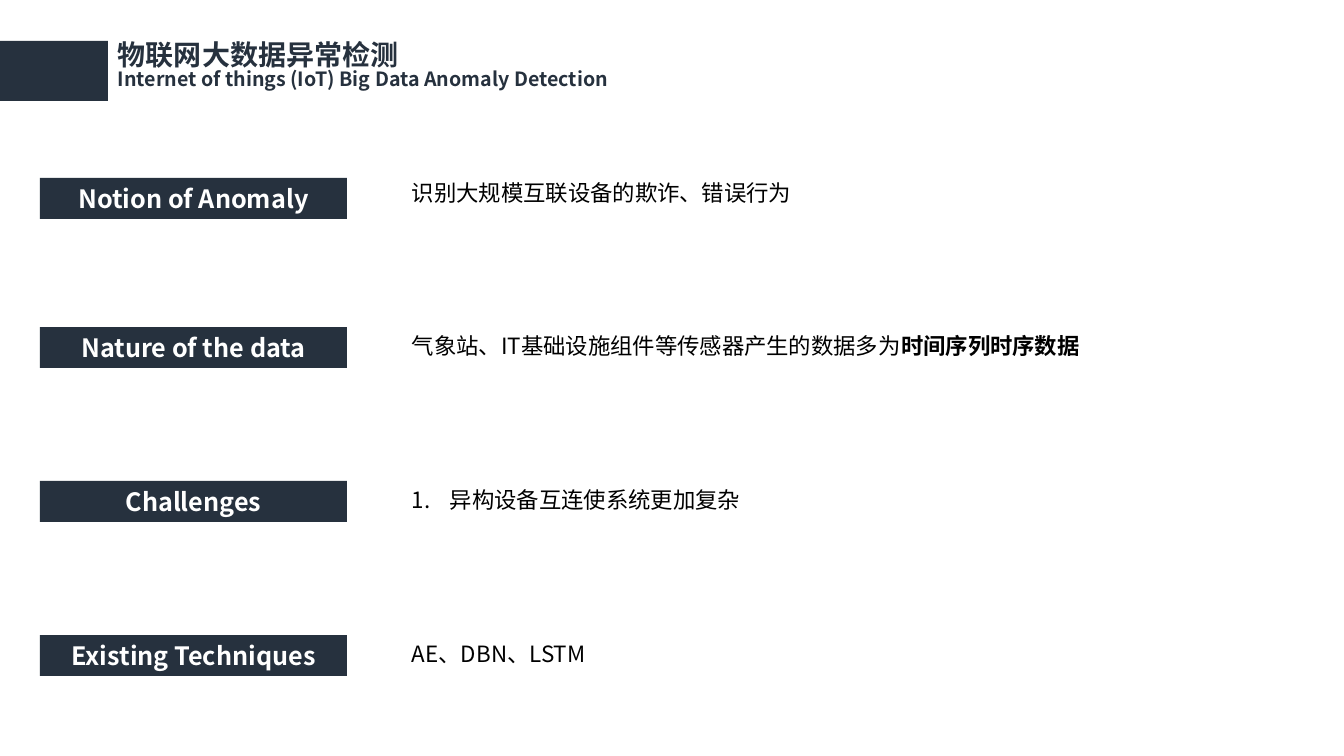
from lxml import etree
from pptx import Presentation
from pptx.dml.color import RGBColor
from pptx.enum.shapes import MSO_SHAPE
from pptx.enum.text import MSO_ANCHOR, PP_ALIGN
from pptx.oxml.ns import qn
from pptx.util import Pt

PX = 914400 / 100.8
FONT = "Noto Sans CJK SC"
NAVY = RGBColor(0x26, 0x31, 0x3E)
WHITE = RGBColor(0xFF, 0xFF, 0xFF)
BLACK = RGBColor(0x00, 0x00, 0x00)
RECTANGLE = MSO_SHAPE.RECTANGLE
MIDDLE = MSO_ANCHOR.MIDDLE
CENTER = PP_ALIGN.CENTER

ROWS = [
    (178, 174, 811, "Notion of Anomaly", [("识别大规模互联设备的欺诈、错误行为", False)], False),
    (327, 327, 852, "Nature of the data",
     [("气象站、IT基础设施组件等传感器产生的数据多为", False), ("时间序列时序数据", True)], False),
    (481, 481, 831, "Challenges", [("异构设备互连使系统更加复杂", False)], True),
    (635, 635, 811, "Existing Techniques", [("AE、DBN、LSTM", False)], False),
]


def px(*lengths):
    return [round(length * PX) for length in lengths]


def add_run(paragraph, text, size, color, bold):
    run = paragraph.add_run()
    run.text = text
    run.font.size = Pt(size)
    run.font.bold = bold
    run.font.color.rgb = color
    run.font.name = FONT
    east_asian = etree.SubElement(run.font._element, qn("a:ea"))
    east_asian.set("typeface", FONT)


def add_bar(slide, box):
    bar = slide.shapes.add_shape(RECTANGLE, *px(*box))
    bar.shadow.inherit = False
    bar.fill.solid()
    bar.fill.fore_color.rgb = NAVY
    bar.line.fill.background()
    return bar


def add_text_frame(slide, box):
    text_frame = slide.shapes.add_textbox(*px(*box)).text_frame
    text_frame.word_wrap = True
    return text_frame


def number_paragraph(paragraph):
    properties = paragraph._p.get_or_add_pPr()
    indent = px(38)[0]
    properties.set("marL", str(indent))
    properties.set("indent", str(-indent))
    bullet_font = etree.SubElement(properties, qn("a:buFont"))
    bullet_font.set("typeface", FONT)
    numbering = etree.SubElement(properties, qn("a:buAutoNum"))
    numbering.set("type", "arabicPeriod")


def add_header(slide, left, top, width, height):
    add_bar(slide, (left, top, width, height))
    text_frame = add_text_frame(slide, (left + width, top - 3, 563, height + 8))
    title = text_frame.paragraphs[0]
    subtitle = text_frame.add_paragraph()
    add_run(title, "物联网大数据异常检测", 20, NAVY, True)
    add_run(subtitle, "Internet of things (IoT) Big Data Anomaly Detection", 14, NAVY, True)
    for paragraph in (title, subtitle):
        paragraph.line_spacing = 0.83


def add_label(slide, box, text):
    text_frame = add_bar(slide, box).text_frame
    text_frame.vertical_anchor = MIDDLE
    paragraph = text_frame.paragraphs[0]
    paragraph.alignment = CENTER
    add_run(paragraph, text, 18, WHITE, True)


def add_description(slide, box, parts, numbered):
    paragraph = add_text_frame(slide, box).paragraphs[0]
    if numbered:
        number_paragraph(paragraph)
    for text, bold in parts:
        add_run(paragraph, text, 16, BLACK, bold)


def main():
    presentation = Presentation()
    presentation.slide_width, presentation.slide_height = px(1344, 756)
    slide = presentation.slides.add_slide(presentation.slide_layouts[6])
    add_header(slide, 0, 41, 108, 60)
    for label_top, text_top, text_width, label, parts, numbered in ROWS:
        add_label(slide, (40, label_top, 307, 41), label)
        add_description(slide, (402, text_top, text_width, 37), parts, numbered)
    presentation.save("out.pptx")


if __name__ == "__main__":
    main()
